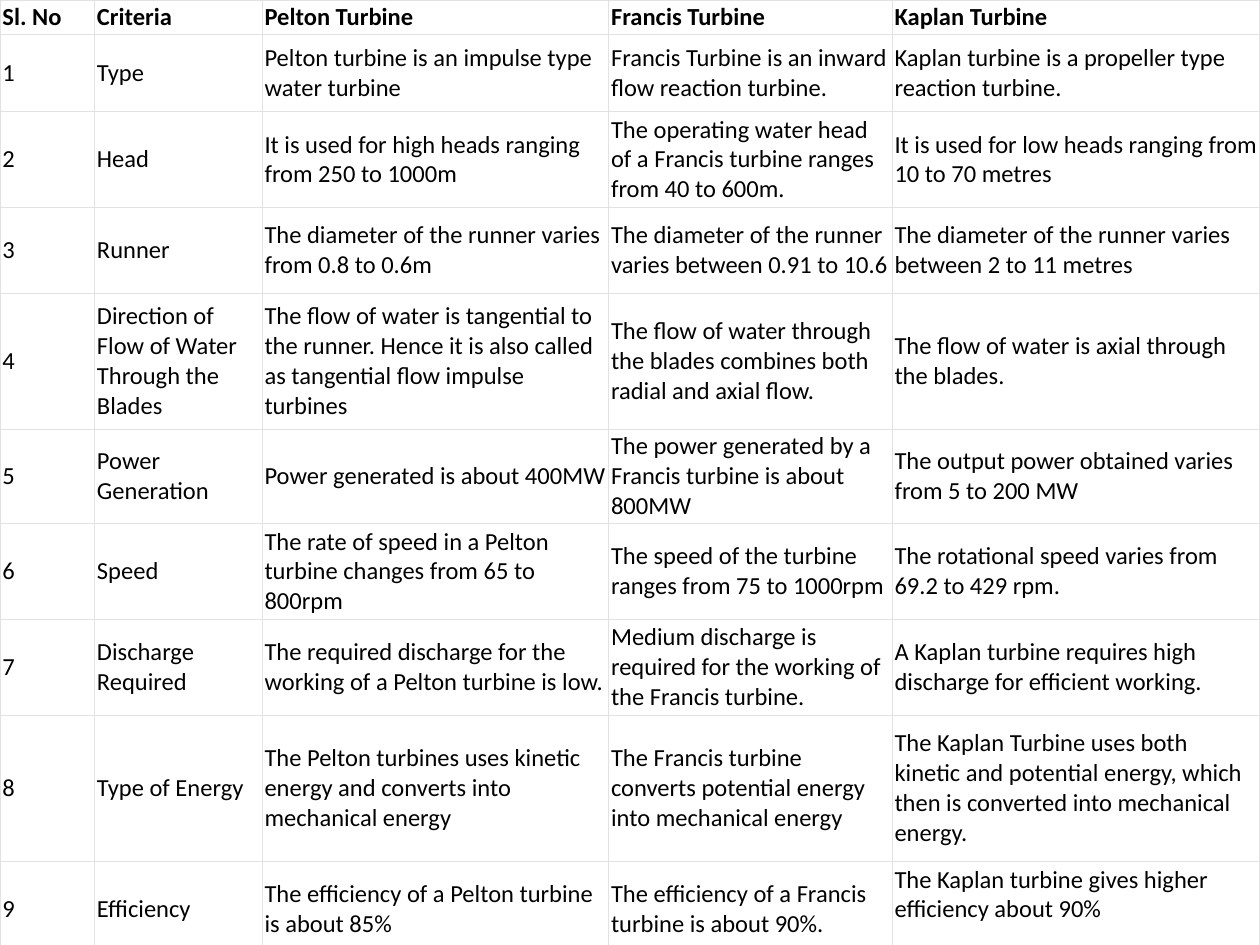
from lxml import etree
from pptx import Presentation
from pptx import util as u
from pptx.dml.color import RGBColor
from pptx.enum import text
from pptx.oxml import ns

WHITE = RGBColor(0xFF, 0xFF, 0xFF)
BLACK = RGBColor(0x00, 0x00, 0x00)
GRID_GREY = RGBColor(0xE2, 0xE2, 0xE2)

COLUMN_WIDTHS = [0.75, 1.33, 2.75, 2.25, 2.92]
ROW_HEIGHTS = [0.24, 0.61, 0.76, 0.68, 1.08, 0.68, 0.76, 0.76, 1.16, 0.76]

HEADINGS = ["Sl. No", "Criteria", "Pelton Turbine", "Francis Turbine", "Kaplan Turbine"]
COMPARISON = [
    ("Type",
     "Pelton turbine is an impulse type water turbine",
     "Francis Turbine is an inward flow reaction turbine.",
     "Kaplan turbine is a propeller type reaction turbine."),
    ("Head",
     "It is used for high heads ranging from 250 to 1000m",
     "The operating water head of a Francis turbine ranges from 40 to 600m.",
     "It is used for low heads ranging from 10 to 70 metres"),
    ("Runner",
     "The diameter of the runner varies from 0.8 to 0.6m",
     "The diameter of the runner varies between 0.91 to 10.6",
     "The diameter of the runner varies between 2 to 11 metres"),
    ("Direction of Flow of Water Through the Blades",
     "The flow of water is tangential to the runner. Hence it is also called "
     "as tangential flow impulse turbines",
     "The flow of water through the blades combines both radial and axial flow.",
     "The flow of water is axial through the blades."),
    ("Power Generation",
     "Power generated is about 400MW",
     "The power generated by a Francis turbine is about 800MW",
     "The output power obtained varies from 5 to 200 MW"),
    ("Speed",
     "The rate of speed in a Pelton turbine changes from 65 to 800rpm",
     "The speed of the turbine ranges from 75 to 1000rpm",
     "The rotational speed varies from 69.2 to 429 rpm."),
    ("Discharge Required",
     "The required discharge for the working of a Pelton turbine is low.",
     "Medium discharge is required for the working of the Francis turbine.",
     "A Kaplan turbine requires high discharge for efficient working."),
    ("Type of Energy",
     "The Pelton turbines uses kinetic energy and converts into mechanical energy",
     "The Francis turbine converts potential energy into mechanical energy",
     "The Kaplan Turbine uses both kinetic and potential energy, which then is "
     "converted into mechanical energy."),
    ("Efficiency",
     "The efficiency of a Pelton turbine is about 85%",
     "The efficiency of a Francis turbine is about 90%.",
     "The Kaplan turbine gives higher efficiency about 90%"),
]


class SlideBuilder:
    """Holds the style and the current slide."""

    font_name = "Calibri"
    font_size = u.Pt(14)
    cell_margin = u.Inches(0.02)
    border_width = u.Pt(0.75)

    def __init__(self, slide):
        self.slide = slide

    def table(self, left, top, widths, heights, rows):
        frame = self.slide.shapes.add_table(
            len(heights), len(widths), u.Inches(left), u.Inches(top),
            u.Inches(sum(widths)), u.Inches(sum(heights)))
        table = frame.table
        table.horz_banding = False
        for column, width in zip(table.columns, widths):
            column.width = u.Inches(width)
        for row, height in zip(table.rows, heights):
            row.height = u.Inches(height)
        for row_index, row in enumerate(rows):
            for column_index, content in enumerate(row):
                self.cell(table.cell(row_index, column_index), content, row_index == 0)
        return table

    def cell(self, cell, content, bold):
        self.borders(cell)
        cell.fill.solid()
        cell.fill.fore_color.rgb = WHITE
        cell.vertical_anchor = text.MSO_ANCHOR.MIDDLE
        cell.margin_left = cell.margin_right = self.cell_margin
        cell.margin_top = cell.margin_bottom = self.cell_margin
        cell.text_frame.text = content
        font = cell.text_frame.paragraphs[0].runs[0].font
        font.name = self.font_name
        font.size = self.font_size
        font.bold = bold
        font.color.rgb = BLACK

    def borders(self, cell):
        properties = cell._tc.get_or_add_tcPr()
        for side in ("a:lnL", "a:lnR", "a:lnT", "a:lnB"):
            line = etree.SubElement(properties, ns.qn(side), w=str(self.border_width))
            fill = etree.SubElement(line, ns.qn("a:solidFill"))
            etree.SubElement(fill, ns.qn("a:srgbClr"), val=str(GRID_GREY))


def main():
    presentation = Presentation()
    presentation.slide_width = u.Inches(10)
    presentation.slide_height = u.Inches(7.5)
    slide = presentation.slides.add_slide(presentation.slide_layouts[6])
    builder = SlideBuilder(slide)

    # Turbine comparison, with numbered rows
    rows = [HEADINGS]
    rows += [(str(number), *entry) for number, entry in enumerate(COMPARISON, start=1)]
    table = builder.table(0, 0, COLUMN_WIDTHS, ROW_HEIGHTS, rows)

    # The last cell sits one half line higher than its row
    table.cell(len(rows) - 1, len(HEADINGS) - 1).margin_bottom = u.Inches(0.25)

    presentation.save("out.pptx")


if __name__ == "__main__":
    main()
